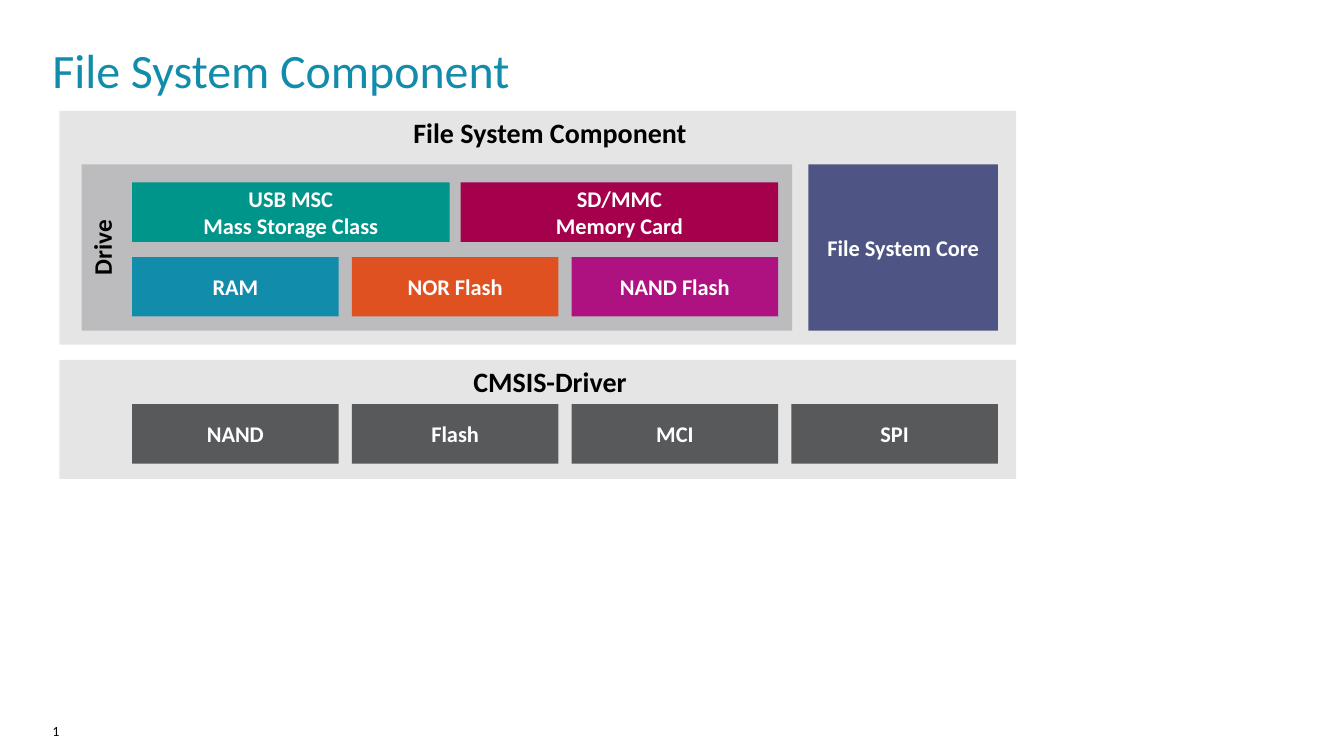
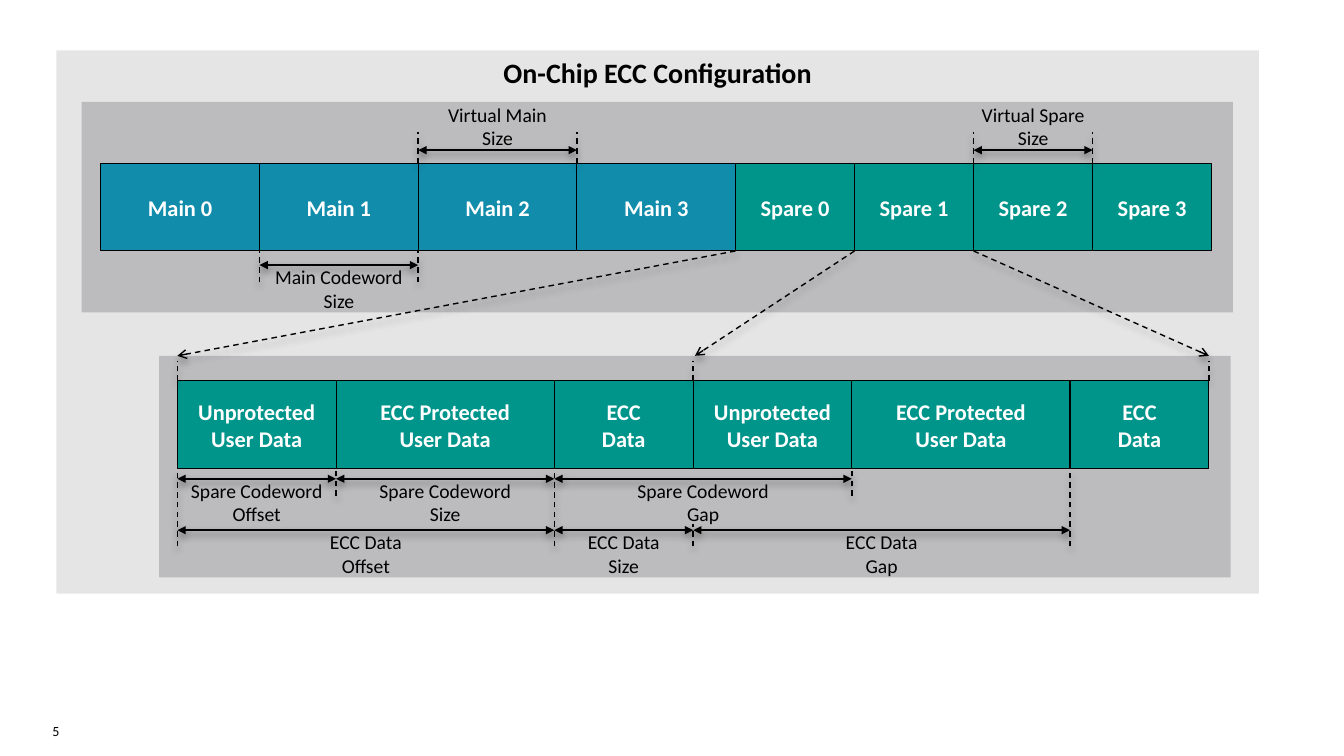
from dataclasses import dataclass
from itertools import accumulate, pairwise

from lxml import etree
from pptx import Presentation
from pptx.dml.color import RGBColor
from pptx.enum.dml import MSO_LINE
from pptx.enum.shapes import MSO_CONNECTOR, MSO_SHAPE
from pptx.enum.text import MSO_ANCHOR, MSO_AUTO_SIZE, PP_ALIGN
from pptx.oxml.ns import qn
from pptx.util import Inches, Pt

RECTANGLE = MSO_SHAPE.RECTANGLE
STRAIGHT = MSO_CONNECTOR.STRAIGHT
DASH = MSO_LINE.DASH
TOP, MIDDLE = MSO_ANCHOR.TOP, MSO_ANCHOR.MIDDLE
LEFT, CENTER = PP_ALIGN.LEFT, PP_ALIGN.CENTER
NO_AUTOFIT = MSO_AUTO_SIZE.NONE
TITLE_ONLY = 5
TOP_SIDE = 0


@dataclass(frozen=True)
class Theme:
    font: str = "Calibri"
    # colours
    black: str = "000000"
    white: str = "FFFFFF"
    blue: str = "128CAB"
    teal: str = "00958B"
    orange: str = "E05122"
    crimson: str = "A5004C"
    magenta: str = "AE1280"
    indigo: str = "4E5584"
    slate: str = "58595B"
    panel: str = "808082"
    # panel opacity in percent
    light: int = 20
    dark: int = 40
    # type sizes
    title_size: float = 34.2
    heading_size: int = 20
    side_size: int = 18
    tile_size: int = 16
    label_size: int = 14
    number_size: int = 10


THEME = Theme()


def cells(value):
    """Grid cells to slide units: columns and rows are a tenth of an inch."""
    return Inches(value / 10)


def split(left, right, count, gap):
    """Left edge and width of equal columns between two edges."""
    width = (right - left - gap * (count - 1)) / count
    return [(left + i * (width + gap), width) for i in range(count)]


class Deck:
    """Holds the style and the current slide; all places are grid cells."""

    def __init__(self, theme):
        self.theme = theme
        self.prs = Presentation()
        self.prs.slide_width = cells(133.33)
        self.prs.slide_height = cells(75)
        self.slide = None

    def new_slide(self, number):
        layout = self.prs.slide_layouts[TITLE_ONLY]
        self.slide = self.prs.slides.add_slide(layout)
        self.text_box((5.2, 71.7, 14.3, 2.6), number, self.theme.number_size, LEFT)

    def set_text(self, shape, text, size, color, bold=False, align=CENTER,
                 anchor=MIDDLE, margins=None):
        frame = shape.text_frame
        frame.word_wrap = True
        frame.auto_size = NO_AUTOFIT
        frame.vertical_anchor = anchor
        if margins is not None:
            frame.margin_left = frame.margin_right = cells(margins)
            frame.margin_top = frame.margin_bottom = cells(margins)
        for i, line in enumerate(text.split("\n")):
            paragraph = frame.add_paragraph() if i else frame.paragraphs[0]
            paragraph.alignment = align
            run = paragraph.add_run()
            run.text = line
            run.font.name = self.theme.font
            run.font.size = Pt(size)
            run.font.bold = bold
            run.font.color.rgb = RGBColor.from_string(color)

    def place(self, shape, at):
        shape.left, shape.top, shape.width, shape.height = map(cells, at)

    def paint(self, shape, color, opacity=100):
        shape.fill.solid()
        shape.fill.fore_color.rgb = RGBColor.from_string(color)
        if opacity < 100:
            color_node = shape._element.spPr.find(qn("a:solidFill"))[0]
            etree.SubElement(color_node, qn("a:alpha"), val=str(opacity * 1000))

    def title(self, text):
        title = self.slide.shapes.title
        self.place(title, (5.2, 3.7, 122, 6.3))
        self.set_text(title, text, self.theme.title_size, self.theme.blue,
                      align=LEFT, margins=0)

    def title_panel(self, at, text):
        """A panel whose heading is the title of the slide."""
        title = self.slide.shapes.title
        self.place(title, at)
        self.paint(title, self.theme.panel, self.theme.light)
        self.set_text(title, text, self.theme.heading_size, self.theme.black,
                      bold=True, anchor=TOP)

    def rectangle(self, at, color, opacity=100, outlined=False):
        shape = self.slide.shapes.add_shape(RECTANGLE, *map(cells, at))
        shape.shadow.inherit = False
        self.paint(shape, color, opacity)
        if outlined:
            shape.line.color.rgb = RGBColor.from_string(self.theme.black)
            shape.line.width = Pt(0.75)
        else:
            shape.line.fill.background()
        return shape

    def panel(self, at, opacity, heading="", shift=0):
        panel = self.rectangle(at, self.theme.panel, opacity)
        if heading:
            self.set_text(panel, heading, self.theme.heading_size, self.theme.black,
                          bold=True, anchor=TOP)
            panel.text_frame.margin_left = cells(1 + shift)
        return panel

    def side_panel(self, at, heading):
        panel = self.rectangle(at, self.theme.panel, self.theme.dark)
        self.set_text(panel, heading, self.theme.side_size, self.theme.black,
                      bold=True, anchor=TOP)
        panel._element.txBody.find(qn("a:bodyPr")).set("vert", "vert270")

    def tile(self, at, text, color, outlined=False):
        tile = self.rectangle(at, color, outlined=outlined)
        self.set_text(tile, text, self.theme.tile_size, self.theme.white, bold=True)

    def text_box(self, at, text, size, align=CENTER):
        box = self.slide.shapes.add_textbox(*map(cells, at))
        self.set_text(box, text, size, self.theme.black, align=align,
                      anchor=TOP, margins=0)

    def line(self, start, end, width=1, dashed=True, head=None, tail=None):
        line = self.slide.shapes.add_connector(STRAIGHT, *map(cells, start + end))
        line.line.color.rgb = RGBColor.from_string(self.theme.black)
        line.line.width = Pt(width)
        if dashed:
            line.line.dash_style = DASH
        properties = line._element.spPr
        outline = properties.find(qn("a:ln"))
        for tag, kind in (("a:headEnd", head), ("a:tailEnd", tail)):
            if kind:
                etree.SubElement(outline, qn(tag), type=kind)
        # soft shadow straight below
        effects = etree.SubElement(properties, qn("a:effectLst"))
        shadow = etree.SubElement(
            effects, qn("a:outerShdw"), blurRad=str(Pt(5.2)), dist=str(Pt(3)),
            dir=str(90 * 60000), rotWithShape="0")
        tint = etree.SubElement(shadow, qn("a:srgbClr"), val=self.theme.black)
        etree.SubElement(tint, qn("a:alpha"), val="40000")
        return line

    def guide(self, x, top, bottom):
        self.line((x, top), (x, bottom))

    def measure(self, left, right, y, text, above=False):
        """A double arrow with its label centred above or below it."""
        self.line((left, y), (right, y), 1.5, False, "triangle", "triangle")
        width, height = 13.8, 4.7
        label_top = y - height if above else y
        self.text_box(((left + right - width) / 2, label_top, width, height),
                      text, self.theme.label_size)

    def field_row(self, edges, top, height, fields):
        for (left, right), (text, color) in zip(pairwise(edges), fields):
            self.tile((left, top, right - left, height), text, color, outlined=True)


def build_component(deck):
    theme = deck.theme
    deck.new_slide("1")
    deck.title("File System Component")

    # panels
    panel_left, panel_width, shift = 5.9, 94.9, 2.4
    deck.panel((panel_left, 35.7, panel_width, 11.8), theme.light, "CMSIS-Driver", shift)
    deck.panel((panel_left, 11, panel_width, 23.2), theme.light,
               "File System Component", shift)
    deck.side_panel((8.1, 16.3, 70.5, 16.5), "Drive")
    deck.tile((80.2, 16.3, 18.8, 16.5), "File System Core", theme.indigo)

    # rows of tiles: top, right edge, gap, tiles
    rows = [
        (18.1, 77.2, 1.1, [("USB MSC\nMass Storage Class", theme.teal),
                           ("SD/MMC\nMemory Card", theme.crimson)]),
        (25.5, 77.2, 1.3, [("RAM", theme.blue), ("NOR Flash", theme.orange),
                           ("NAND Flash", theme.magenta)]),
        (40.1, 99, 1.3, [(name, theme.slate)
                         for name in ("NAND", "Flash", "MCI", "SPI")]),
    ]
    for top, right, gap, tiles in rows:
        columns = split(13.1, right, len(tiles), gap)
        for (left, width), (text, color) in zip(columns, tiles):
            deck.tile((left, top, width, 5.9), text, color)


def build_ecc(deck):
    theme = deck.theme
    deck.new_slide("5")
    deck.title_panel((5.6, 5, 119.3, 53.9), "On-Chip ECC Configuration")
    deck.panel((8.1, 10.1, 114.2, 20.9), theme.dark)
    spare_panel_top = 35.3
    spare_panel = deck.panel((15.8, spare_panel_top, 106.3, 22), theme.dark)

    # both rows share one unit of width
    unit = 110.2 / 28
    page = list(accumulate([4 * unit] * 4 + [3 * unit] * 4, initial=10))
    spare = list(accumulate([n * unit for n in (4, 5.5, 3.5) * 2], initial=17.6))
    page_top, spare_top, row_height = 16.2, 37.8, 8.7
    page_bottom, spare_bottom = page_top + row_height, spare_top + row_height

    deck.field_row(page, page_top, row_height,
                   [(f"Main {i}", theme.blue) for i in range(4)]
                   + [(f"Spare {i}", theme.teal) for i in range(4)])
    parts = ("Unprotected\nUser Data", "ECC Protected\nUser Data", "ECC\nData")
    deck.field_row(spare, spare_top, row_height,
                   [(part, theme.teal) for part in parts * 2])

    # spare areas opened out into the lower row
    for source, target in ((4, 0), (5, 3), (6, 6)):
        zoom = deck.line((page[source], page_bottom),
                         (spare[target], spare_panel_top), tail="arrow")
        if target == 3:
            zoom.end_connect(spare_panel, TOP_SIDE)
        deck.guide(spare[target], spare_top, 35.8)

    # guides of the upper row, then of the lower row
    for edge in (2, 3, 6, 7):
        deck.guide(page[edge], page_top, 13.1)
    for edge in (1, 2):
        deck.guide(page[edge], 28, page_bottom)
    short, long = 49.2, 54.2
    for edge, end in enumerate((long, short, long, long, short, long)):
        deck.guide(spare[edge], end, 52 if edge == 3 else spare_bottom)

    # measures
    deck.measure(page[2], page[3], 14.9, "Virtual Main\nSize", above=True)
    deck.measure(page[6], page[7], 14.9, "Virtual Spare\nSize", above=True)
    deck.measure(page[1], page[2], 26.3, "Main Codeword\nSize")
    for start, end, y, text in (
        (0, 1, 47.5, "Spare Codeword\nOffset"),
        (1, 2, 47.5, "Spare Codeword\nSize"),
        (2, 4, 47.5, "Spare Codeword\nGap"),
        (0, 2, 52.6, "ECC Data\nOffset"),
        (2, 3, 52.6, "ECC Data\nSize"),
        (3, 5, 52.6, "ECC Data\nGap"),
    ):
        deck.measure(spare[start], spare[end], y, text)


def main():
    deck = Deck(THEME)
    build_component(deck)
    build_ecc(deck)
    deck.prs.save("out.pptx")


if __name__ == "__main__":
    main()
